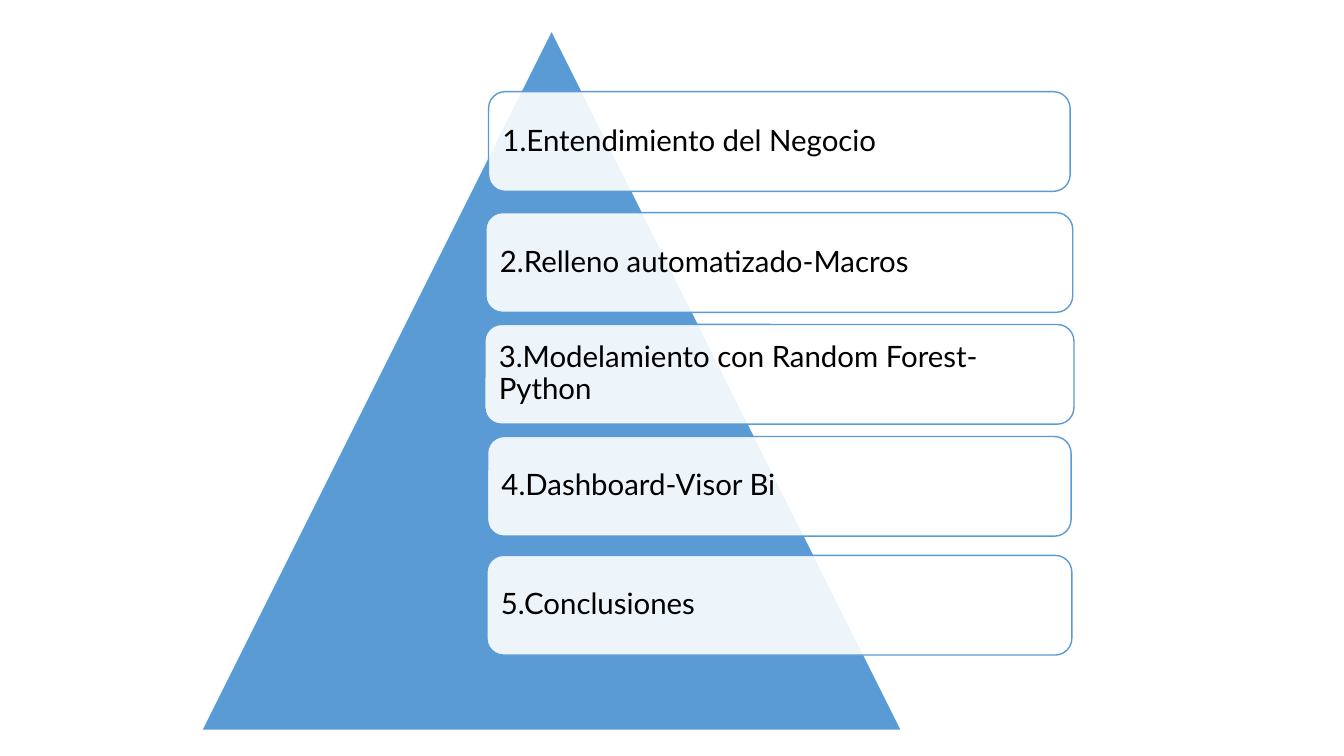
from dataclasses import dataclass

from lxml.etree import SubElement
from pptx import Presentation
from pptx.dml.color import RGBColor
from pptx.enum.shapes import MSO_SHAPE
from pptx.enum.text import MSO_ANCHOR, PP_ALIGN
from pptx.oxml.ns import qn
from pptx.util import Pt

# Step text, top and width in points
STEPS = [
    ("1.Entendimiento del Negocio", 65.5, 415.4),
    ("2.Relleno automatizado-Macros", 151.9, 419.2),
    ("3.Modelamiento con Random Forest-Python", 231.8, 420.8),
    ("4.Dashboard-Visor Bi", 311.8, 416.8),
    ("5.Conclusiones", 396.7, 417.8),
]
PYRAMID = (144, 21.6, 500, 500)
STEP_CENTER = 556.7
STEP_HEIGHT = 71.2
STEP_MARGIN = 6.5


@dataclass(frozen=True)
class Theme:
    """Colours, font and sizes of the slide."""
    blue: RGBColor = RGBColor(0x5B, 0x9B, 0xD5)
    white: RGBColor = RGBColor(0xFF, 0xFF, 0xFF)
    black: RGBColor = RGBColor(0, 0, 0)
    font: str = "Lato"
    text_size: float = 21
    line_width: float = 1
    step_opacity: int = 90


THEME = Theme()


def add_panel(page, kind, bounds, fill, line):
    """Add a shadowless preset shape with a solid fill and outline."""
    panel = page.shapes.add_shape(kind, *map(Pt, bounds))
    panel.shadow.inherit = False
    panel.fill.solid()
    panel.fill.fore_color.rgb = fill
    panel.line.color.rgb = line
    panel.line.width = Pt(THEME.line_width)
    return panel


def set_opacity(shape, percent):
    """Make the solid fill of a shape partly transparent."""
    solid = shape.element.spPr.find(qn("a:solidFill"))
    SubElement(solid[0], qn("a:alpha")).set("val", str(percent * 1000))


def write_step(box, text):
    """Write the step text at the left, centred vertically."""
    frame = box.text_frame
    frame.word_wrap = True
    frame.vertical_anchor = MSO_ANCHOR.MIDDLE
    frame.margin_left = frame.margin_right = Pt(STEP_MARGIN)
    frame.margin_top = frame.margin_bottom = Pt(STEP_MARGIN)
    para = frame.paragraphs[0]
    para.alignment = PP_ALIGN.LEFT
    para.line_spacing = 0.9
    span = para.add_run()
    span.text = text
    span.font.name = THEME.font
    span.font.size = Pt(THEME.text_size)
    span.font.color.rgb = THEME.black


def add_step(page, text, top, width):
    """Add one translucent step box centred on the common axis."""
    bounds = (STEP_CENTER - width / 2, top, width, STEP_HEIGHT)
    box = add_panel(page, MSO_SHAPE.ROUNDED_RECTANGLE, bounds,
                    THEME.white, THEME.blue)
    set_opacity(box, THEME.step_opacity)
    write_step(box, text)


deck = Presentation()
deck.slide_width, deck.slide_height = Pt(960), Pt(540)
page = deck.slides.add_slide(deck.slide_layouts[6])
add_panel(page, MSO_SHAPE.ISOSCELES_TRIANGLE, PYRAMID, THEME.blue, THEME.white)
for step in STEPS:
    add_step(page, *step)
deck.save("out.pptx")
